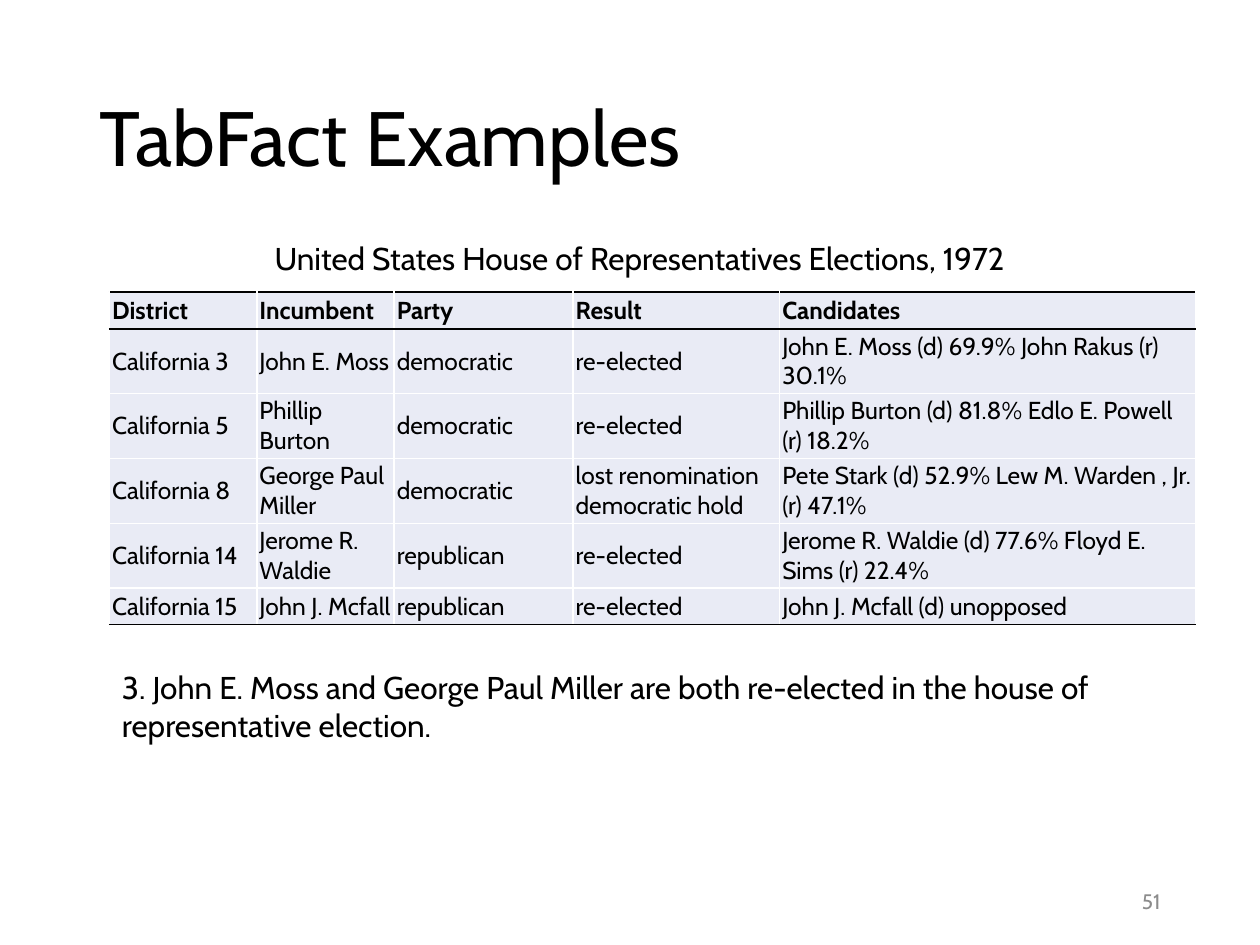
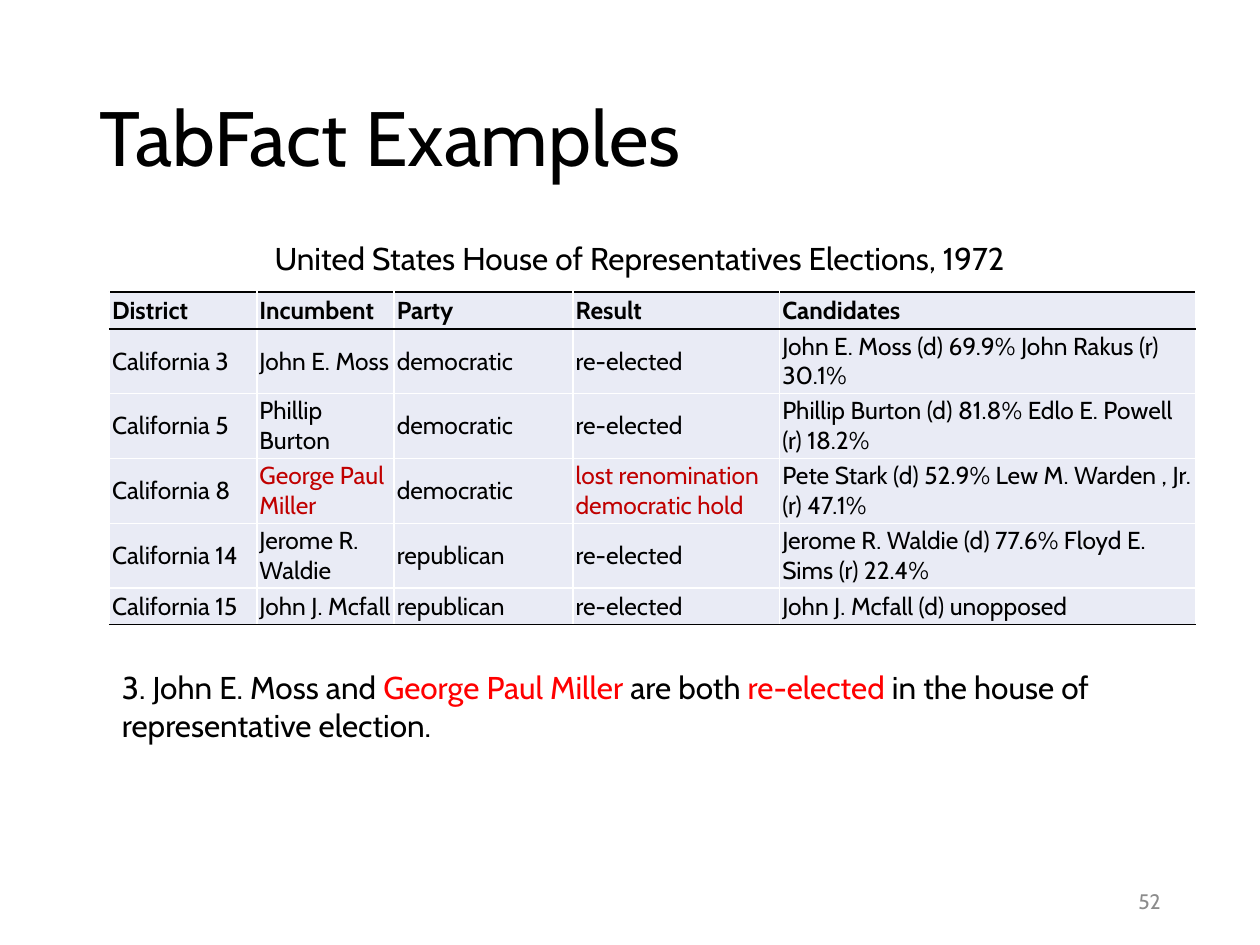
import pptx
import pptx.dml.color
import pptx.enum.text
import pptx.oxml
import pptx.oxml.ns
import pptx.util

Pt = pptx.util.Pt
ANCHOR = pptx.enum.text.MSO_ANCHOR
ALIGN = pptx.enum.text.PP_ALIGN
COLORS = {
    "text": "000000",
    "rule": "000000",
    "grid": "FFFFFF",
    "cell": "E9EBF5",
    "number": "8C8C8C",
    "evidence": "C00000",
    "claim": "FF0000",
}
COLUMN_WIDTHS = [84.2, 78.5, 102.2, 118.1, 237.6]
ROW_HEIGHT = 20.9
ELECTIONS = [
    ["District", "Incumbent", "Party", "Result", "Candidates"],
    ["California 3", "John E. Moss", "democratic", "re-elected",
     "John E. Moss (d) 69.9% John Rakus (r) 30.1%"],
    ["California 5", "Phillip Burton", "democratic", "re-elected",
     "Phillip Burton (d) 81.8% Edlo E. Powell (r) 18.2%"],
    ["California 8", "George Paul Miller", "democratic",
     "lost renomination democratic hold",
     "Pete Stark (d) 52.9% Lew M. Warden , Jr. (r) 47.1%"],
    ["California 14", "Jerome R. Waldie", "republican", "re-elected",
     "Jerome R. Waldie (d) 77.6% Floyd E. Sims (r) 22.4%"],
    ["California 15", "John J. Mcfall", "republican", "re-elected",
     "John J. Mcfall (d) unopposed"],
]
EVIDENCE = {(3, 1), (3, 3)}
CLAIM = [
    ("3. John E. Moss and ", False),
    ("George Paul Miller ", True),
    ("are both ", False),
    ("re-elected", True),
    (" in the house of representative election.", False),
]


def write(tf, text, size=18, color="text", bold=False, font="Cabin",
          align=ALIGN.LEFT, spacing=None):
    p = tf.paragraphs[0]
    p.alignment = align
    if spacing:
        p.line_spacing = spacing
    runs = [(text, color)] if isinstance(text, str) else text
    for part, part_color in runs:
        r = p.add_run()
        r.text = part
        r.font.name = font
        r.font.size = Pt(size)
        r.font.bold = bold
        r.font.color.rgb = pptx.dml.color.RGBColor.from_string(COLORS[part_color])


class Deck:
    def __init__(self):
        self.prs = pptx.Presentation()
        self.prs.slide_width = Pt(720)
        self.prs.slide_height = Pt(540)
        self.s = None

    def add_slide(self, title):
        self.s = self.prs.slides.add_slide(self.prs.slide_layouts[5])
        sp = self.s.shapes.title
        sp.left, sp.top, sp.width, sp.height = Pt(49.7), Pt(28.8), Pt(620.6), Pt(104.4)
        sp.text_frame.vertical_anchor = ANCHOR.MIDDLE
        write(sp.text_frame, title, size=44, spacing=0.9)

    def text(self, text, left, top, width, height, anchor=ANCHOR.TOP, **fmt):
        sp = self.s.shapes.add_textbox(Pt(left), Pt(top), Pt(width), Pt(height))
        tf = sp.text_frame
        tf.word_wrap = True
        tf.vertical_anchor = anchor
        write(tf, text, **fmt)

    def border(self, cell, side, color):
        ln = pptx.oxml.parse_xml(
            f'<a:ln{side} {pptx.oxml.ns.nsdecls("a")} w="{Pt(1)}"><a:solidFill>'
            f'<a:srgbClr val="{COLORS[color]}"/></a:solidFill></a:ln{side}>')
        cell._tc.get_or_add_tcPr().append(ln)

    def table(self, rows, widths, left, top, highlighted):
        last_row, last_col = len(rows) - 1, len(widths) - 1
        table = self.s.shapes.add_table(
            len(rows), len(widths), Pt(left), Pt(top),
            Pt(sum(widths)), Pt(ROW_HEIGHT * len(rows))).table
        table.first_row = table.horz_banding = False
        for column, width in zip(table.columns, widths):
            column.width = Pt(width)
        for i, row in enumerate(rows):
            table.rows[i].height = Pt(ROW_HEIGHT)
            for j, text in enumerate(row):
                cell = table.cell(i, j)
                cell.vertical_anchor = ANCHOR.MIDDLE
                cell.margin_left = cell.margin_right = Pt(1.5)
                cell.margin_top = cell.margin_bottom = Pt(1.5)
                if j > 0:
                    self.border(cell, "L", "grid")
                if j < last_col:
                    self.border(cell, "R", "grid")
                self.border(cell, "T", "rule" if i < 2 else "grid")
                self.border(cell, "B", "rule" if i in (0, last_row) else "grid")
                cell.fill.solid()
                cell.fill.fore_color.rgb = pptx.dml.color.RGBColor.from_string(COLORS["cell"])
                color = "evidence" if (i, j) in highlighted else "text"
                write(cell.text_frame, text, size=14, bold=i == 0, color=color)

    def number(self, number):
        self.text(str(number), 508.3, 500.4, 162, 28.8, anchor=ANCHOR.MIDDLE,
                  size=12, color="number", align=ALIGN.RIGHT)


def main():
    deck = Deck()
    for number, revealed in [(51, False), (52, True)]:
        deck.add_slide("TabFact Examples")
        deck.table(ELECTIONS, COLUMN_WIDTHS, 62.6, 167, EVIDENCE if revealed else set())
        deck.text("United States House of Representatives Elections, 1972",
                  149.8, 133.2, 473, 28.8)
        if revealed:
            claim = [(part, "claim" if wrong else "text") for part, wrong in CLAIM]
        else:
            claim = "".join(part for part, wrong in CLAIM)
        deck.text(claim, 62.6, 378, 620.6, 51.1)
        deck.number(number)
    deck.prs.save("out.pptx")


if __name__ == "__main__":
    main()
